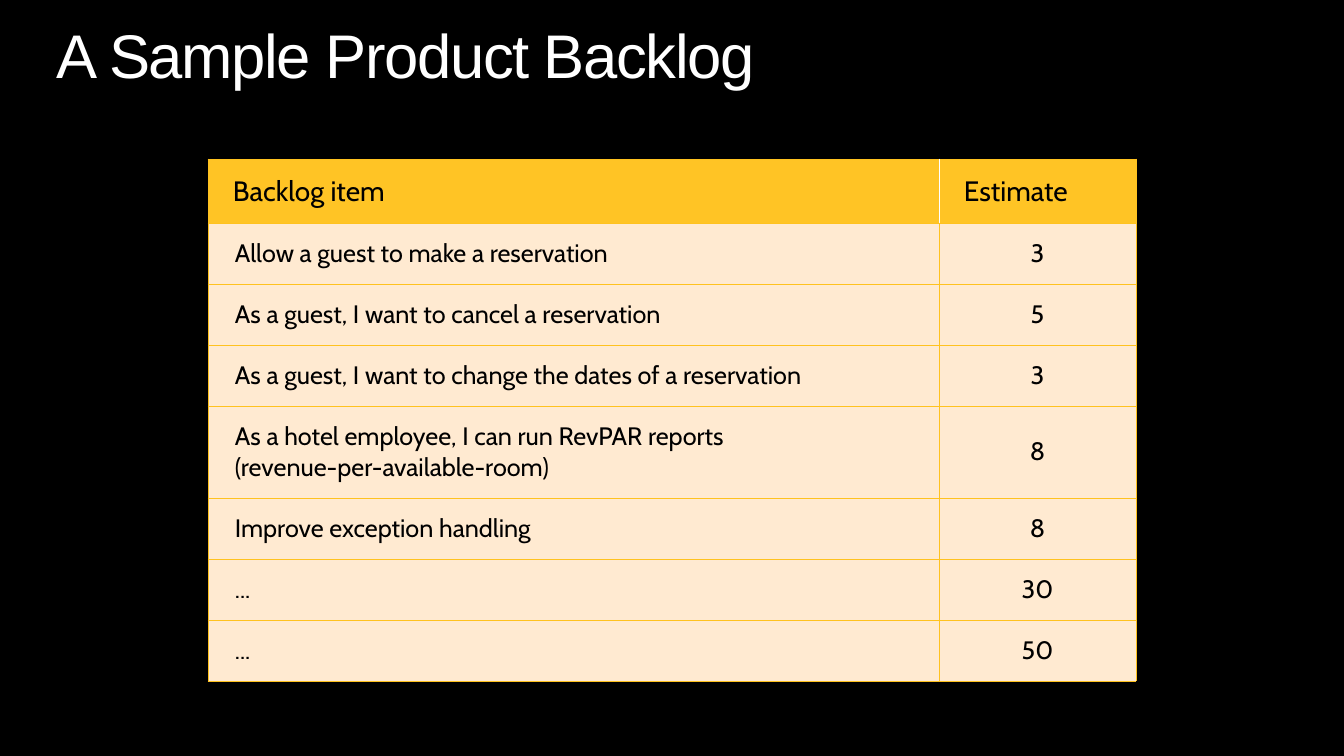
from lxml.etree import SubElement
from pptx import Presentation
from pptx.dml.color import RGBColor
from pptx.enum.text import MSO_ANCHOR, MSO_AUTO_SIZE, PP_ALIGN
from pptx.oxml.ns import qn
from pptx.util import Pt

EMU_PER_PX = 12192000 / 1344
COLORS = {
    "background": "000000",
    "title": "FFFFFF",
    "text": "000000",
    "header": "FFC425",
    "body": "FFEAD1",
    "rule": "FFC21F",
    "divider": "FFFFFF",
}
BACKLOG = [
    ("Backlog item", "Estimate"),
    ("Allow a guest to make a reservation", "3"),
    ("As a guest, I want to cancel a reservation", "5"),
    ("As a guest, I want to change the dates of a reservation", "3"),
    ("As a hotel employee, I can run RevPAR reports\v(revenue-per-available-room)", "8"),
    ("Improve exception handling", "8"),
    ("...", "30"),
    ("...", "50"),
]
COLUMN_WIDTHS = (731, 197)
HEADER_HEIGHT, ROW_HEIGHT, LINE_HEIGHT = 64, 61, 31
PADDING, HEADER_PADDING, ITEM_INDENT = 15, 25, 12


def px(length):
    return round(length * EMU_PER_PX)


def color(name):
    return RGBColor.from_string(COLORS[name])


def set_attributes(target, values):
    for name, value in values.items():
        setattr(target, name, value)


def format_font(font, color_name, values):
    set_attributes(font, values)
    font.color.rgb = color(color_name)


def add_title(slide, box, text):
    title = slide.shapes.title
    set_attributes(title, dict(zip(("left", "top", "width", "height"), map(px, box))))
    frame = title.text_frame
    frame.text = text
    set_attributes(frame, {
        "margin_left": 0, "margin_top": 0, "margin_right": 0, "margin_bottom": 0,
        "word_wrap": True, "auto_size": MSO_AUTO_SIZE.SHAPE_TO_FIT_TEXT,
        "vertical_anchor": MSO_ANCHOR.BOTTOM,
    })
    paragraph = frame.paragraphs[0]
    set_attributes(paragraph, {"alignment": PP_ALIGN.LEFT, "line_spacing": 0.9})
    run = paragraph.runs[0]
    format_font(run.font, "title", {"name": "Arial", "size": Pt(44)})
    run.font._element.set("spc", "-100")


def set_borders(cell, borders):
    """Draw cell borders, given as {side: (color name, points)}, ahead of the fill."""
    properties = cell._tc.get_or_add_tcPr()
    for position, side in enumerate("LRTB"):
        name, points = borders[side]
        line = SubElement(properties, qn(f"a:ln{side}"), w=str(Pt(points)))
        fill = SubElement(line, qn("a:solidFill"))
        SubElement(fill, qn("a:srgbClr"), val=COLORS[name])
        properties.insert(position, line)


def format_cell(cell, text, is_header, is_item):
    cell.text = text
    set_attributes(cell, {
        "margin_left": px(HEADER_PADDING if is_header else PADDING),
        "margin_top": px(PADDING), "margin_right": px(PADDING), "margin_bottom": px(PADDING),
        "vertical_anchor": MSO_ANCHOR.MIDDLE,
    })
    cell.fill.solid()
    cell.fill.fore_color.rgb = color("header" if is_header else "body")
    borders = dict.fromkeys("LRTB", ("rule", 0.75))
    if is_header:
        borders["R" if is_item else "L"] = ("divider", 0.5)
    set_borders(cell, borders)

    paragraph = cell.text_frame.paragraphs[0]
    paragraph.alignment = PP_ALIGN.LEFT if is_header or is_item else PP_ALIGN.CENTER
    if is_item:
        properties = paragraph._p.get_or_add_pPr()
        properties.set("marL", str(px(ITEM_INDENT)))
        properties.set("indent", str(px(-ITEM_INDENT if is_header else 0)))
    for run in paragraph.runs:
        format_font(run.font, "text", {
            "name": "Cabin", "size": Pt(20 if is_header else 18), "bold": False,
        })


def add_backlog_table(slide, left, top):
    heights = [HEADER_HEIGHT] + [
        ROW_HEIGHT + LINE_HEIGHT * item.count("\v") for item, _ in BACKLOG[1:]
    ]
    table = slide.shapes.add_table(
        len(BACKLOG), len(COLUMN_WIDTHS),
        px(left), px(top), px(sum(COLUMN_WIDTHS)), px(sum(heights)),
    ).table
    table.horz_banding = False
    for column, width in zip(table.columns, COLUMN_WIDTHS):
        column.width = px(width)
    for row_index, (height, texts) in enumerate(zip(heights, BACKLOG)):
        table.rows[row_index].height = px(height)
        for column_index, text in enumerate(texts):
            format_cell(table.cell(row_index, column_index), text,
                        row_index == 0, column_index == 0)


def main():
    presentation = Presentation()
    presentation.slide_width, presentation.slide_height = px(1344), px(756)
    slide = presentation.slides.add_slide(presentation.slide_layouts.get_by_name("Title Only"))
    slide.background.fill.solid()
    slide.background.fill.fore_color.rgb = color("background")
    add_title(slide, (57, 25, 1229, 67), "A Sample Product Backlog")
    add_backlog_table(slide, 208, 159)
    presentation.save("out.pptx")


if __name__ == "__main__":
    main()
